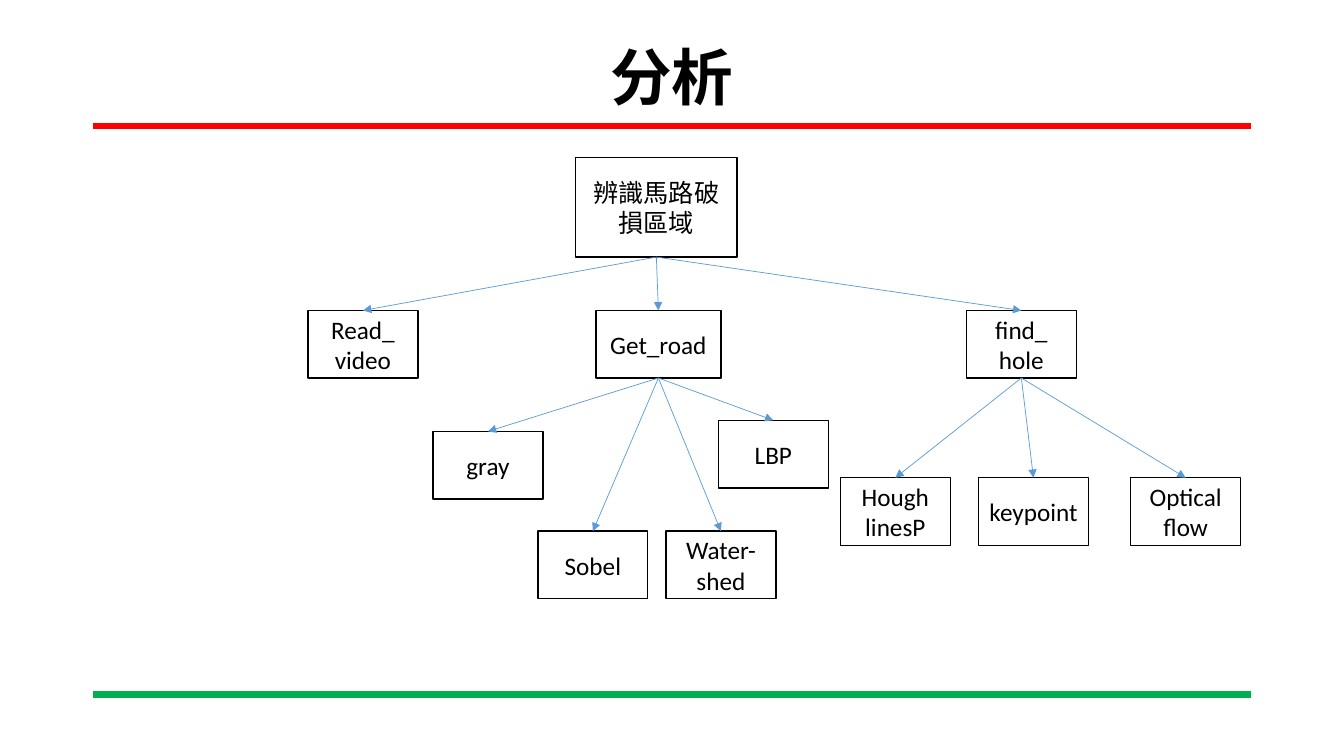
from pptx import Presentation, util as u
from pptx.dml.color import RGBColor
from pptx.enum import shapes, text
from pptx.oxml.ns import qn
from lxml import etree

COLOURS = {"ink": "000000", "paper": "FFFFFF", "top": "FF0000",
           "bottom": "00B050", "arrow": "5B9BD5"}
WIDTH, HEIGHT = 13.33, 7.5
MARGIN = 0.92
BOX_WIDTH, BOX_HEIGHT = 1.09, 0.67
BOTTOM, TOP = 2, 0  # connection sites of a rectangle

# Top edge of each row of the tree
ROWS = {"root": 1.56, "stage": 3.08, "lbp": 4.17, "gray": 4.28,
        "hole": 4.74, "road": 5.27}

# name: (text, parent, centre, row, width, height)
NODES = {
    "root": ("辨識馬路破損區域", None, 6.51, "root", 1.6, 0.99),
    "read": ("Read_\nvideo", "root", 3.6, "stage", BOX_WIDTH, BOX_HEIGHT),
    "road": ("Get_road", "root", 6.53, "stage", 1.24, BOX_HEIGHT),
    "hole": ("find_\nhole", "root", 10.13, "stage", BOX_WIDTH, BOX_HEIGHT),
    "gray": ("gray", "road", 4.84, "gray", BOX_WIDTH, BOX_HEIGHT),
    "sobel": ("Sobel", "road", 5.88, "road", BOX_WIDTH, BOX_HEIGHT),
    "watershed": ("Water-shed", "road", 7.15, "road", BOX_WIDTH, BOX_HEIGHT),
    "lbp": ("LBP", "road", 7.67, "lbp", BOX_WIDTH, BOX_HEIGHT),
    "hough": ("Hough\nlinesP", "hole", 8.88, "hole", BOX_WIDTH, BOX_HEIGHT),
    "keypoint": ("keypoint", "hole", 10.25, "hole", BOX_WIDTH, BOX_HEIGHT),
    "flow": ("Optical flow", "hole", 11.76, "hole", BOX_WIDTH, BOX_HEIGHT),
}


def write(shape, words, size=18, font="Calibri", bold=False, spacing=1.0):
    frame = shape.text_frame
    frame.word_wrap = True
    frame.vertical_anchor = text.MSO_ANCHOR.MIDDLE
    frame.text = words
    for para in frame.paragraphs:
        para.alignment = text.PP_ALIGN.CENTER
        para.line_spacing = spacing
        for span in para.runs:
            span.font.size = u.Pt(size)
            span.font.name = font
            span.font.bold = bold
            span.font.color.rgb = RGBColor.from_string(COLOURS["ink"])


def draw_line(start, end, colour, weight):
    """Add a straight connector without a shadow; points are in inches."""
    line = page.shapes.add_connector(
        shapes.MSO_CONNECTOR.STRAIGHT, *map(u.Inches, (*start, *end)))
    line.line.color.rgb = RGBColor.from_string(COLOURS[colour])
    line.line.width = u.Pt(weight)
    etree.SubElement(line._element.spPr, qn("a:effectLst"))
    return line


deck = Presentation()
deck.slide_width, deck.slide_height = u.Inches(WIDTH), u.Inches(HEIGHT)
page = deck.slides.add_slide(deck.slide_layouts[5])

# Rules above and below the content
for colour, y in (("top", 1.25), ("bottom", 6.89)):
    draw_line((MARGIN, y), (WIDTH - MARGIN, y), colour, 4.5)

title = page.shapes.title
title.left, title.top = u.Inches(MARGIN), u.Inches(0.4)
title.width, title.height = u.Inches(WIDTH - 2 * MARGIN), u.Inches(0.79)
write(title, "分析", size=44, font="Times New Roman", bold=True, spacing=0.9)

# Boxes of the tree
boxes = {}
for name, (words, parent, centre, row, width, height) in NODES.items():
    box = page.shapes.add_shape(
        shapes.MSO_SHAPE.RECTANGLE, u.Inches(centre - width / 2),
        u.Inches(ROWS[row]), u.Inches(width), u.Inches(height))
    box.shadow.inherit = False
    box.fill.solid()
    box.fill.fore_color.rgb = RGBColor.from_string(COLOURS["paper"])
    box.line.color.rgb = RGBColor.from_string(COLOURS["ink"])
    box.line.width = u.Pt(1)
    write(box, words)
    boxes[name] = box

# Arrows from each parent to its children
for name, (words, parent, *place) in NODES.items():
    if parent:
        arrow = draw_line((0, 0), (1, 1), "arrow", 0.5)
        arrow.begin_connect(boxes[parent], BOTTOM)
        arrow.end_connect(boxes[name], TOP)
        etree.SubElement(arrow.line._get_or_add_ln(), qn("a:tailEnd"), type="triangle")

deck.save("out.pptx")
